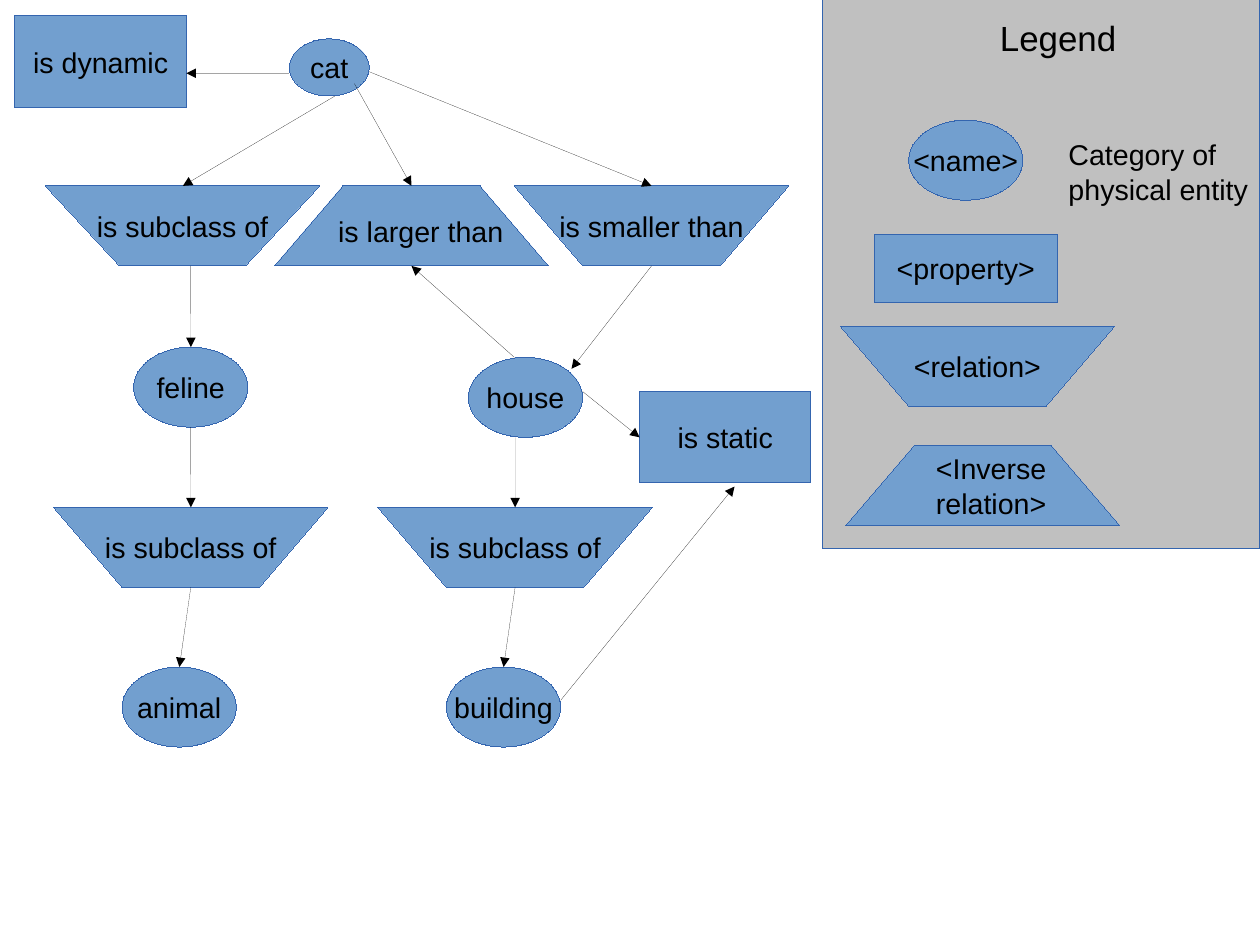
from lxml.etree import SubElement
from pptx import Presentation
from pptx.dml.color import RGBColor
from pptx.enum.shapes import MSO_CONNECTOR, MSO_SHAPE
from pptx.enum.text import MSO_ANCHOR, MSO_AUTO_SIZE, PP_ALIGN
from pptx.oxml.ns import qn
from pptx.util import Pt

BLUE = RGBColor(0x72, 0x9F, 0xCF)
OUTLINE = RGBColor(0x34, 0x65, 0xAF)
GRAY = RGBColor(0xC0, 0xC0, 0xC0)
BLACK = RGBColor(0, 0, 0)


def write_text(shape, text, size=18, align=PP_ALIGN.CENTER, anchor=MSO_ANCHOR.MIDDLE):
    frame = shape.text_frame
    frame.text = text
    frame.word_wrap = False
    frame.vertical_anchor = anchor
    for paragraph in frame.paragraphs:
        paragraph.alignment = align
        paragraph.font.name = "Arial"
        paragraph.font.size = Pt(size)
        paragraph.font.color.rgb = BLACK


def paint(shape, fill=BLUE):
    shape.shadow.inherit = False
    shape.fill.solid()
    shape.fill.fore_color.rgb = fill
    shape.line.color.rgb = OUTLINE
    shape.element.spPr.get_or_add_ln().set("w", "0")  # hairline


presentation = Presentation()
presentation.slide_width = Pt(793.7)
presentation.slide_height = Pt(595.28)
slide = presentation.slides.add_slide(presentation.slide_layouts[6])
shapes = slide.shapes

# Legend panel
panel = shapes.add_shape(MSO_SHAPE.RECTANGLE, Pt(518.2), 0, Pt(275.2), Pt(345.6))
paint(panel, fill=GRAY)

# Entities (ellipses) and properties (rectangles)
nodes = [
    (MSO_SHAPE.OVAL, "cat", 182.2, 24.5, 50.4, 36),
    (MSO_SHAPE.OVAL, "feline", 84.2, 218.7, 72, 50.4),
    (MSO_SHAPE.OVAL, "house", 295, 225.1, 72, 50.4),
    (MSO_SHAPE.OVAL, "animal", 76.9, 420.2, 72, 50.4),
    (MSO_SHAPE.OVAL, "building", 281.2, 420.2, 72, 50.4),
    (MSO_SHAPE.OVAL, "<name>", 572.4, 75.7, 72, 50.4),
    (MSO_SHAPE.RECTANGLE, "is dynamic", 9.4, 10.1, 108, 57.6),
    (MSO_SHAPE.RECTANGLE, "is static", 402.9, 246.6, 108, 57.6),
    (MSO_SHAPE.RECTANGLE, "<property>", 550.8, 147.6, 115.2, 43.2),
]
for preset, text, left, top, width, height in nodes:
    node = shapes.add_shape(preset, Pt(left), Pt(top), Pt(width), Pt(height))
    paint(node)
    write_text(node, text)

# Relations: trapezoids with the wide side up, or down for inverse relations
RELATION_WIDTH, RELATION_HEIGHT = 172.8, 50.4
relations = [
    ("is subclass of", 28.6, 117.1, 46.8, False),
    ("is smaller than", 324, 117.1, 43.2, False),
    ("is subclass of", 33.8, 319.6, 43.2, False),
    ("is subclass of", 238.1, 319.6, 43.2, False),
    ("<relation>", 529.3, 205.4, 43.2, False),
    ("", 172.8, 117.1, 43.2, True),
    ("", 532.7, 280.6, 43.2, True),
]
for text, left, top, inset, inverse in relations:
    wide, narrow = top, top + RELATION_HEIGHT
    if inverse:
        wide, narrow = narrow, wide
    right = left + RELATION_WIDTH
    builder = shapes.build_freeform(Pt(left), Pt(wide))
    builder.add_line_segments([
        (Pt(right), Pt(wide)),
        (Pt(right - inset), Pt(narrow)),
        (Pt(left + inset), Pt(narrow)),
    ])
    relation = builder.convert_to_shape()
    paint(relation)
    if text:
        write_text(relation, text)

# Free labels
labels = [
    ("Legend", 622.8, 7.2, 87.8, 43.2, 22),
    ("Category of\nphysical entity", 666, 83, 127.4, 47.5, 18),
    ("is larger than", 205.9, 131.5, 120, 27.4, 18),
    ("<Inverse\nrelation>", 582.5, 280.8, 88.6, 47.5, 18),
]
for text, left, top, width, height, size in labels:
    label = shapes.add_textbox(Pt(left), Pt(top), Pt(width), Pt(height))
    write_text(label, text, size=size, align=PP_ALIGN.LEFT, anchor=MSO_ANCHOR.TOP)
    label.text_frame.auto_size = MSO_AUTO_SIZE.SHAPE_TO_FIT_TEXT

# Arrows: start x, start y, end x, end y
arrows = [
    (182.2, 46.1, 117.4, 46.13),     # cat: is dynamic
    (211, 60.5, 115.2, 117.1),       # cat: is subclass of
    (223.2, 52.6, 259.2, 117.1),     # cat: is larger than
    (232.6, 45.2, 410.4, 117.1),     # cat: is smaller than
    (120.2, 167.5, 120.23, 218.7),   # is subclass of: feline
    (120.2, 269.1, 120.23, 319.6),   # feline: is subclass of
    (120.2, 370, 113, 420.2),        # is subclass of: animal
    (324, 225.1, 259.2, 167.5),      # house: is larger than
    (410.4, 167.5, 360, 232.3),      # is smaller than: house
    (367, 246.6, 402.9, 275.5),      # house: is static
    (324.5, 275.5, 324.53, 319.6),   # house: is subclass of
    (324.5, 370, 317.2, 420.2),      # is subclass of: building
    (353.2, 441.1, 462.7, 306.5),    # building: is static
]
for points in arrows:
    arrow = shapes.add_connector(MSO_CONNECTOR.STRAIGHT, *[Pt(value) for value in points])
    arrow.line.color.rgb = BLACK
    properties = arrow.element.spPr
    outline = properties.get_or_add_ln()
    outline.set("w", "0")
    SubElement(outline, qn("a:tailEnd"), type="triangle")
    SubElement(properties, qn("a:effectLst"))

presentation.save("out.pptx")
